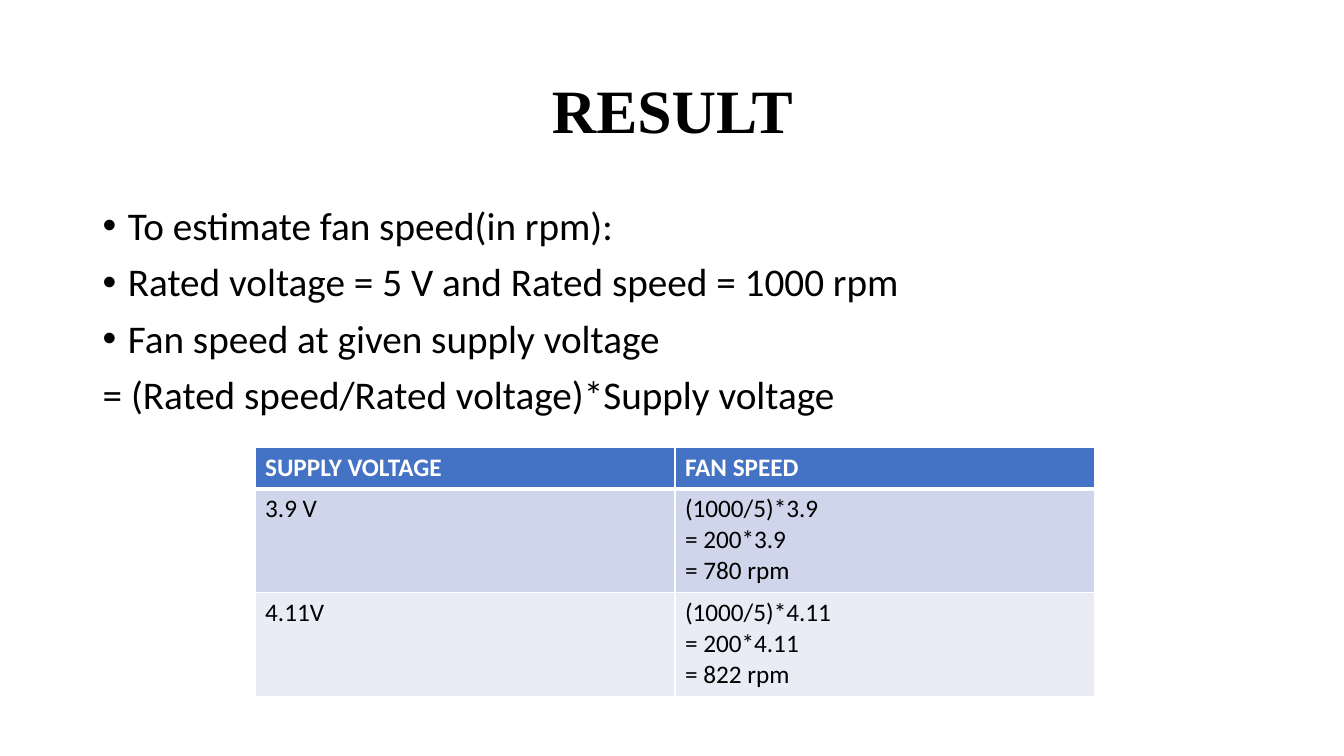
from lxml import etree
from pptx import Presentation
from pptx.dml.color import RGBColor
from pptx.enum.text import MSO_ANCHOR, PP_ALIGN
from pptx.oxml.ns import qn
from pptx.util import Inches, Pt

BLACK = RGBColor(0x00, 0x00, 0x00)
WHITE = RGBColor(0xFF, 0xFF, 0xFF)
HEADER_BLUE = RGBColor(0x44, 0x72, 0xC4)
BAND_DARK = RGBColor(0xCF, 0xD5, 0xEA)
BAND_LIGHT = RGBColor(0xE9, 0xEB, 0xF5)


def add_run(paragraph, text, size, color=BLACK, bold=False, font="Calibri"):
    run = paragraph.add_run()
    run.text = text
    run.font.name = font
    run.font.size = Pt(size)
    run.font.bold = bold
    run.font.color.rgb = color


def add_border(cell, side, points):
    line = etree.SubElement(cell._tc.get_or_add_tcPr(), qn(f"a:ln{side}"), w=str(Pt(points)))
    fill = etree.SubElement(line, qn("a:solidFill"))
    etree.SubElement(fill, qn("a:srgbClr"), val=str(WHITE))


prs = Presentation()
prs.slide_width = Inches(13.33)
prs.slide_height = Inches(7.5)
slide = prs.slides.add_slide(prs.slide_layouts[6])

# Title
title = slide.shapes.add_textbox(Inches(0.92), Inches(0.4), Inches(11.5), Inches(1.45)).text_frame
title.word_wrap = True
title.vertical_anchor = MSO_ANCHOR.MIDDLE
heading = title.paragraphs[0]
heading.alignment = PP_ALIGN.CENTER
heading.line_spacing = 0.9
add_run(heading, "RESULT", 44, bold=True, font="Times New Roman")

# Method: three bullets, then the formula without one
method = slide.shapes.add_textbox(Inches(0.92), Inches(2), Inches(11.5), Inches(4.76)).text_frame
method.word_wrap = True
steps = [
    ("To estimate fan speed(in rpm):", True),
    ("Rated voltage = 5 V and Rated speed = 1000 rpm", True),
    ("Fan speed at given supply voltage", True),
    ("= (Rated speed/Rated voltage)*Supply voltage", False),
]
for index, (text, bulleted) in enumerate(steps):
    step = method.add_paragraph() if index else method.paragraphs[0]
    step.line_spacing = 0.9
    step.space_before = Pt(10)
    if bulleted:
        properties = step._p.get_or_add_pPr()
        properties.set("marL", str(Inches(0.25)))
        properties.set("indent", str(Inches(-0.25)))
        etree.SubElement(properties, qn("a:buFont"), typeface="Arial")
        etree.SubElement(properties, qn("a:buChar"), char="•")
    add_run(step, text, 28)

# Fan speed table
results = [
    (0.41, HEADER_BLUE, ["SUPPLY VOLTAGE"], ["FAN SPEED"]),
    (1.03, BAND_DARK, ["3.9 V"], ["(1000/5)*3.9", "= 200*3.9", "= 780 rpm"]),
    (1.03, BAND_LIGHT, ["4.11V"], ["(1000/5)*4.11", "= 200*4.11", "= 822 rpm"]),
]
speeds = slide.shapes.add_table(
    len(results), 2, Inches(2.53), Inches(4.44), Inches(8.33), Inches(2.46)).table
for row, (height, band, *cells) in enumerate(results):
    speeds.rows[row].height = Inches(height)
    is_header = row == 0
    for column, lines in enumerate(cells):
        cell = speeds.cell(row, column)
        for side in "LRTB":
            header_rule = (is_header and side == "B") or (row == 1 and side == "T")
            add_border(cell, side, 3 if header_rule else 1)
        cell.fill.solid()
        cell.fill.fore_color.rgb = band
        for index, text in enumerate(lines):
            line = cell.text_frame.add_paragraph() if index else cell.text_frame.paragraphs[0]
            add_run(line, text, 18, WHITE if is_header else BLACK, is_header)

prs.save("out.pptx")
